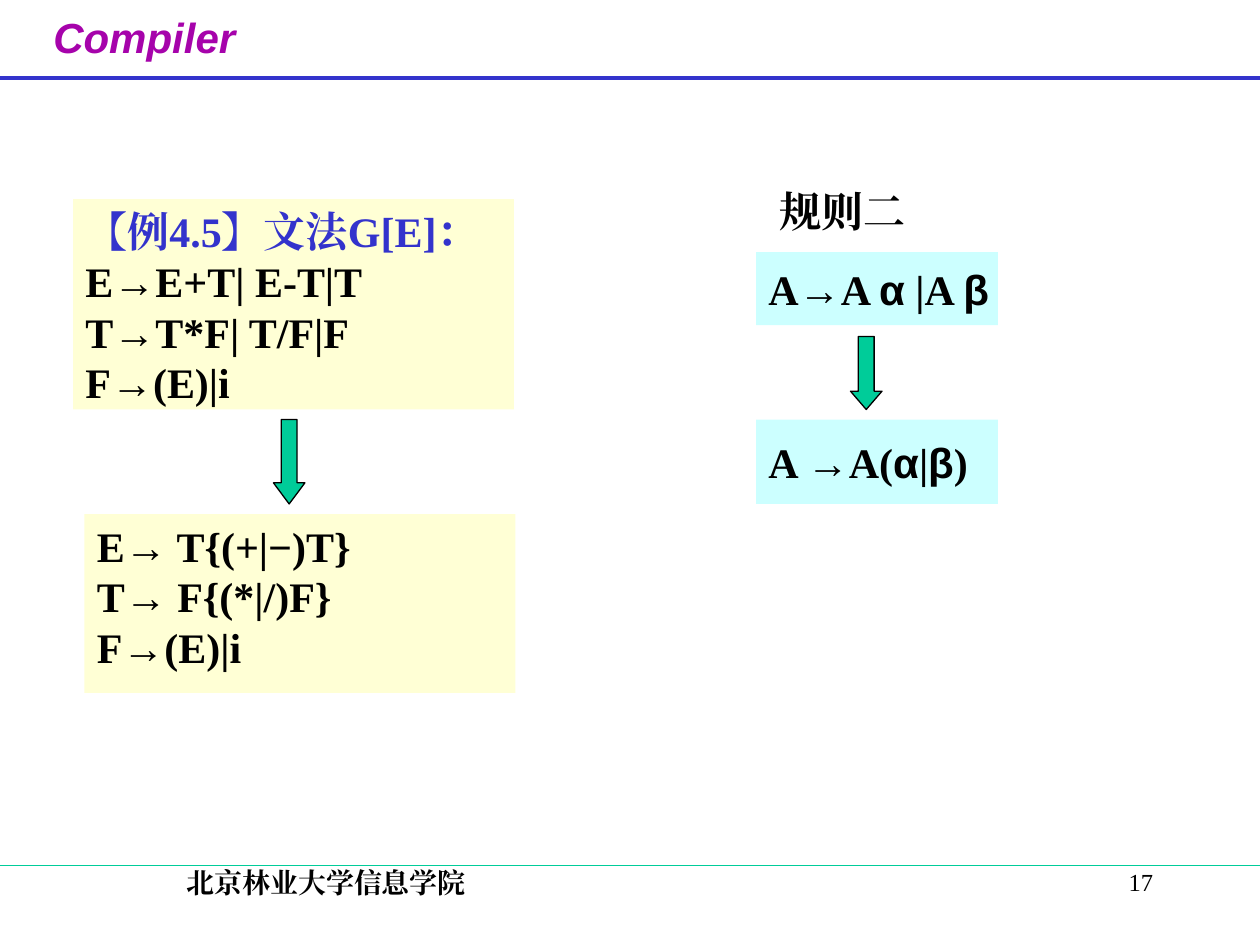
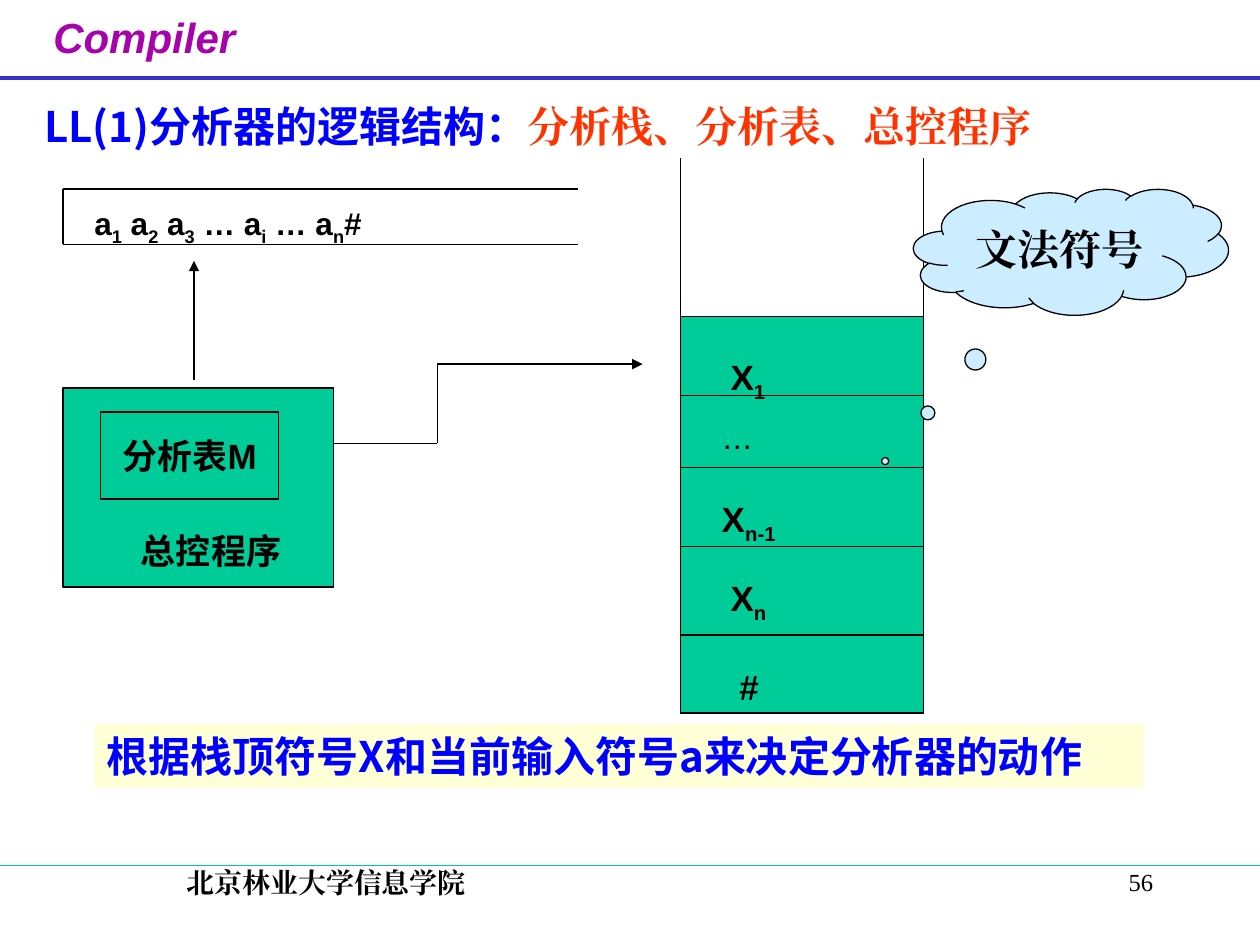
from itertools import pairwise
from typing import NamedTuple

from lxml.etree import SubElement
from pptx import Presentation
from pptx.dml.color import RGBColor
from pptx.enum.shapes import MSO_CONNECTOR as Connector, MSO_SHAPE as Preset
from pptx.enum.text import MSO_ANCHOR as Anchor, MSO_AUTO_SIZE as AutoSize, PP_ALIGN as Align
from pptx.oxml.ns import qn
from pptx.util import Emu, Pt

PX = 9144
TITLE_ONLY, BLANK = 5, 6

BLACK = "000000"
BLUE = "3333CC"
BRIGHT_BLUE = "0000FF"
GREEN = "00CC99"
CREAM = "FFFFD5"
AQUA = "CCFFFF"
SKY = "CCECFF"
PURPLE = "A603AB"
RED = "FF3300"

SERIF = "Times New Roman"
SANS = "Arial"
CJK = "Noto Sans CJK SC"


class Area(NamedTuple):
    left: int
    top: int
    width: int
    height: int


class Point(NamedTuple):
    x: int
    y: int


class Span(NamedTuple):
    text: str
    font: str = SERIF
    color: str = BLACK
    subscript: bool = False


class Style(NamedTuple):
    size: int = 24
    bold: bool = True
    italic: bool = False
    align: Align = Align.LEFT
    anchor: Anchor = Anchor.TOP
    wrap: bool = True


class StackCell(NamedTuple):
    top: int
    label: Area
    symbol: str
    index: str = ""
    style: Style = Style(20)


Lines = list[list[Span]]

UNWRAPPED = Style(wrap=False)
MIDDLE = Style(anchor=Anchor.MIDDLE, wrap=False)
CENTERED = Style(align=Align.CENTER, anchor=Anchor.MIDDLE)

STACK = Area(540, 251, 193, 315)
STACK_CELLS = [
    StackCell(251, Area(570, 277, 126, 48), "X", "1"),
    StackCell(314, Area(563, 327, 104, 40), "…", style=Style(18, bold=False)),
    StackCell(371, Area(563, 390, 104, 48), "X", "n-1"),
    StackCell(434, Area(570, 453, 97, 48), "X", "n"),
    StackCell(504, Area(577, 523, 97, 44), "#"),
]
INPUT_TAPE = [("a", "1"), (" a", "2"), (" a", "3"), (" … a", "i"), (" … a", "n"), ("#", "")]


def rgb(color: str) -> RGBColor:
    return RGBColor.from_string(color)


def emu(lengths: tuple[int, ...]) -> list[Emu]:
    return [Emu(length * PX) for length in lengths]


def plain(*texts: str) -> Lines:
    return [[Span(text)] for text in texts]


def indexed(pairs: list[tuple[str, str]]) -> Lines:
    spans = []
    for symbol, index in pairs:
        spans.append(Span(symbol, SANS))
        if index:
            spans.append(Span(index, SANS, subscript=True))
    return [spans]


def write(box, lines: Lines, style: Style) -> None:
    frame = box.text_frame
    frame.auto_size = AutoSize.NONE
    frame.word_wrap = style.wrap
    frame.vertical_anchor = style.anchor
    for number, spans in enumerate(lines):
        para = frame.add_paragraph() if number else frame.paragraphs[0]
        para.alignment = style.align
        for span in spans:
            run = para.add_run()
            run.text = span.text
            font = run.font
            font.name = span.font
            font.size = Pt(style.size)
            font.bold = style.bold
            font.italic = style.italic
            font.color.rgb = rgb(span.color)
            properties = font._element
            SubElement(properties, qn("a:ea")).set("typeface", span.font)
            if span.subscript:
                properties.set("baseline", "-25000")


def add_text(page, area: Area, lines: Lines, style: Style = Style()) -> None:
    write(page.shapes.add_textbox(*emu(area)), lines, style)


def add_block(page, preset: Preset, area: Area, fill: str, outlined: bool = False,
              adjustments: tuple[float, ...] = ()):
    block = page.shapes.add_shape(preset, *emu(area))
    block.shadow.inherit = False
    block.fill.solid()
    block.fill.fore_color.rgb = rgb(fill)
    if outlined:
        block.line.color.rgb = rgb(BLACK)
        block.line.width = Pt(0.75)
    else:
        block.line.fill.background()
    for number, value in enumerate(adjustments):
        block.adjustments[number] = value
    return block


def add_panel(page, area: Area, fill: str, lines: Lines, style: Style,
              outlined: bool = False) -> None:
    write(add_block(page, Preset.RECTANGLE, area, fill, outlined), lines, style)


def add_line(page, start: Point, end: Point, color: str = BLACK, width: float = 0.75,
             arrow: bool = False) -> None:
    line = page.shapes.add_connector(Connector.STRAIGHT, *emu(start), *emu(end))
    line.line.color.rgb = rgb(color)
    line.line.width = Pt(width)
    if arrow:
        SubElement(line.line._get_or_add_ln(), qn("a:tailEnd")).set("type", "triangle")
    SubElement(line._element.spPr, qn("a:effectLst"))


def add_route(page, points: list[Point], arrow: bool = False) -> None:
    for start, end in pairwise(points):
        add_line(page, start, end, arrow=arrow and end == points[-1])


def add_down_arrow(page, area: Area) -> None:
    add_block(page, Preset.DOWN_ARROW, area, GREEN, True, (0.5, area.height / 100))


def add_page(deck, layout: int, number: int):
    page = deck.slides.add_slide(deck.slide_layouts[layout])
    add_text(page, Area(717, 683, 208, 50), plain(str(number)),
             Style(14, bold=False, align=Align.RIGHT))
    add_text(page, Area(19, 4, 191, 62), [[Span("Compiler", SANS, PURPLE)]],
             Style(italic=True, align=Align.CENTER, wrap=False))
    add_line(page, Point(0, 62), Point(1000, 62), BLUE, 2.25)
    add_text(page, Area(52, 682, 414, 50), plain("北京林业大学信息学院"),
             Style(16, align=Align.CENTER))
    add_line(page, Point(0, 687), Point(1000, 687), GREEN)
    return page


def build_grammar_page(deck) -> None:
    page = add_page(deck, BLANK, 17)
    grammar = [[Span("【例4.5】文法G[E]：", color=BLUE)]]
    grammar += plain("E→E+T| E-T|T", "T→T*F| T/F|F", "F→(E)|i")
    add_panel(page, Area(58, 158, 350, 167), CREAM, grammar, UNWRAPPED)
    add_panel(page, Area(67, 408, 342, 142), CREAM,
              plain("E→ T{(+|−)T}", "T→ F{(*|/)F}", "F→(E)|i"), UNWRAPPED)
    add_down_arrow(page, Area(217, 333, 25, 67))

    add_text(page, Area(609, 142, 120, 50), plain("规则二"),
             Style(align=Align.CENTER, wrap=False))
    alpha, beta = Span("α", SANS), Span("β", SANS)
    add_panel(page, Area(600, 200, 192, 58), AQUA,
              [[Span("A→A "), alpha, Span(" |A "), beta]], MIDDLE)
    add_panel(page, Area(600, 333, 192, 67), AQUA,
              [[Span("A →A("), alpha, Span("|"), beta, Span(")")]], MIDDLE)
    add_down_arrow(page, Area(675, 267, 25, 58))


def add_stack(page) -> None:
    add_block(page, Preset.RECTANGLE, STACK, GREEN, True)
    right = STACK.left + STACK.width
    for wall in (STACK.left, right):
        add_line(page, Point(wall, STACK.top), Point(wall, 125))
    for cell in STACK_CELLS:
        if cell.top > STACK.top:
            add_line(page, Point(STACK.left, cell.top), Point(right, cell.top))
        add_text(page, cell.label, indexed([(cell.symbol, cell.index)]), cell.style)


def build_parser_page(deck) -> None:
    page = add_page(deck, TITLE_ONLY, 56)
    title = page.shapes.title
    title.left, title.top, title.width, title.height = emu(Area(25, 75, 850, 50))
    write(title, [[Span("LL(1)分析器的逻辑结构：", CJK, BRIGHT_BLUE),
                   Span("分析栈、分析表、总控程序", color=RED)]], Style())

    add_route(page, [Point(459, 150), Point(50, 150), Point(50, 194), Point(459, 194)])
    add_text(page, Area(65, 157, 319, 44), indexed(INPUT_TAPE), Style(18))

    add_block(page, Preset.RECTANGLE, Area(50, 308, 215, 158), GREEN, True)
    add_panel(page, Area(80, 327, 141, 69), GREEN, [[Span("分析表M", SANS)]],
              CENTERED._replace(size=20, wrap=False), True)
    add_text(page, Area(102, 415, 141, 44), [[Span("总控程序", SANS)]], Style(20))

    add_stack(page)
    add_route(page, [Point(154, 302), Point(154, 207)], arrow=True)
    add_route(page, [Point(265, 352), Point(347, 352), Point(347, 289), Point(510, 289)],
              arrow=True)

    cloud = add_block(page, Preset.CLOUD_CALLOUT, Area(725, 150, 250, 100), SKY, True,
                      (-0.59, 1.66))
    write(cloud, plain("文法符号"), CENTERED)
    add_panel(page, Area(75, 575, 833, 50), CREAM,
              [[Span("根据栈顶符号X和当前输入符号a来决定分析器的动作", CJK, BRIGHT_BLUE)]], Style())


def main() -> None:
    deck = Presentation()
    deck.slide_width, deck.slide_height = emu((1000, 750))
    build_grammar_page(deck)
    build_parser_page(deck)
    deck.save("out.pptx")


if __name__ == "__main__":
    main()
